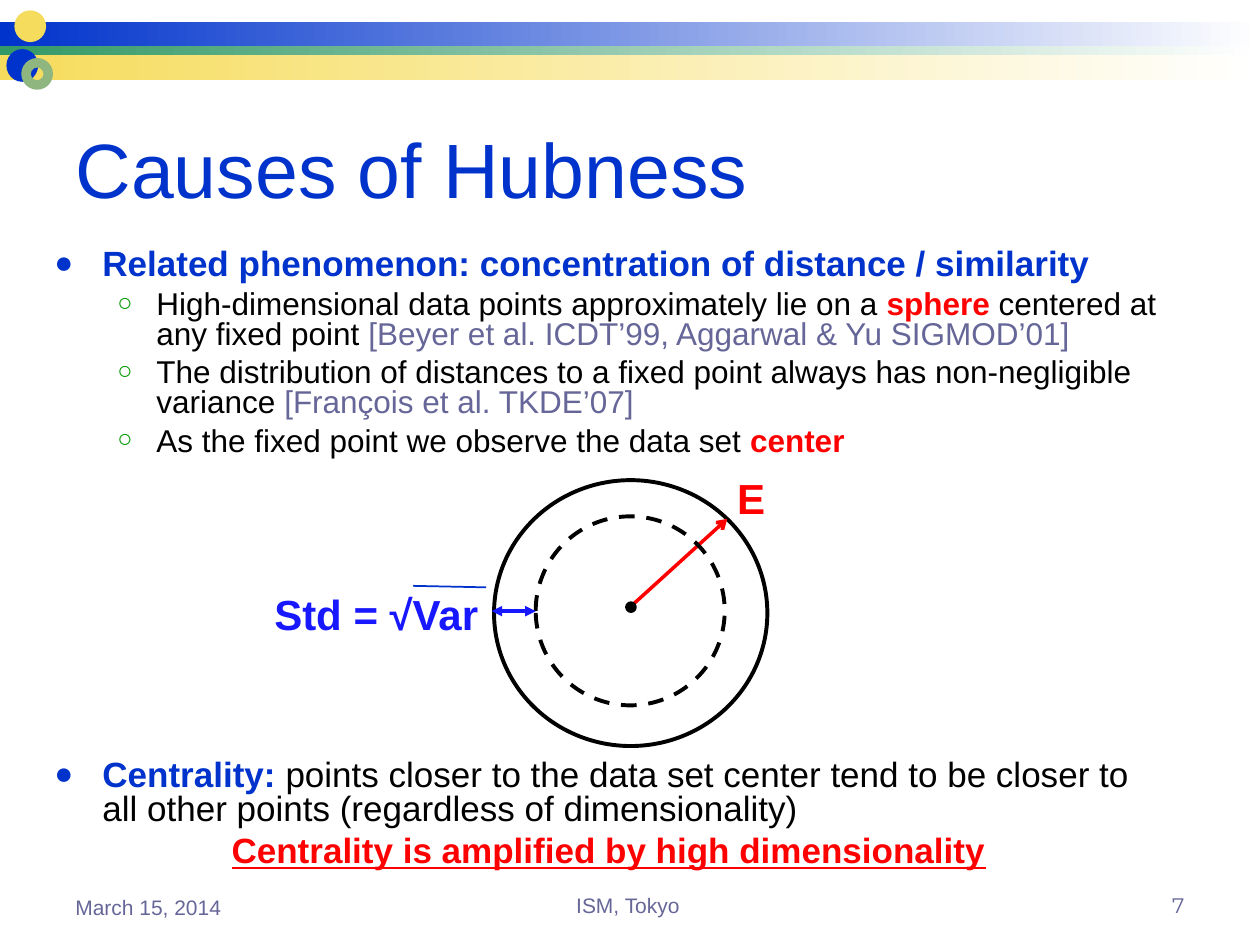
from lxml import etree
from pptx import Presentation
from pptx.dml.color import RGBColor
from pptx.enum.dml import MSO_LINE
from pptx.enum.shapes import MSO_CONNECTOR, MSO_SHAPE
from pptx.enum.text import MSO_ANCHOR, MSO_AUTO_SIZE, PP_ALIGN
from pptx.oxml.ns import qn
from pptx.util import Cm, Pt

RECT, OVAL, RING = MSO_SHAPE.RECTANGLE, MSO_SHAPE.OVAL, MSO_SHAPE.DONUT
LEFT, CENTER, RIGHT = PP_ALIGN.LEFT, PP_ALIGN.CENTER, PP_ALIGN.RIGHT
TOP, MIDDLE, BOTTOM = MSO_ANCHOR.TOP, MSO_ANCHOR.MIDDLE, MSO_ANCHOR.BOTTOM
STRAIGHT = MSO_CONNECTOR.STRAIGHT
DASH = MSO_LINE.DASH
FIXED = MSO_AUTO_SIZE.NONE

BLUE, INK, RED = "0033CC", "1818FF", "FF0000"
BLACK, GREY, GREEN = "000000", "666699", "009900"
GOLD, WHITE = "F6DC5C", "FFFFFF"

POINTS = [
    (0, 0, [("Related phenomenon: concentration of distance / similarity", BLUE, True)]),
    (1, 4.5, [
        ("High-dimensional data points approximately lie on a ", BLACK, False),
        ("sphere", RED, True),
        (" centered at any fixed point ", BLACK, False),
        ("[Beyer et al. ICDT’99, Aggarwal & Yu SIGMOD’01]", GREY, False)]),
    (1, 4.5, [
        ("The distribution of distances to a fixed point always has "
         "non-negligible variance ", BLACK, False),
        ("[François et al. TKDE’07]", GREY, False)]),
    (1, 4.5, [
        ("As the fixed point we observe the data set ", BLACK, False),
        ("center", RED, True)]),
    (0, 173, [
        ("Centrality:", BLUE, True),
        (" points closer to the data set center tend to be closer to all other "
         "points (regardless of dimensionality)", BLACK, False)]),
    (None, 5, [("Centrality is amplified by high dimensionality", RED, True)]),
]
LEVELS = {
    0: (0.97, 0.97, 20, "●", BLUE, 90),
    1: (2.06, 0.79, 18, "○", GREEN, 80),
    None: (0.97, 0.97, 20, None, None, None),
}


def paint(color, code):
    color.rgb = RGBColor.from_string(code)


def style(run, size, code, bold=False, face="Arial"):
    font = run.font
    font.name, font.size, font.bold = face, Pt(size), bold
    paint(font.color, code)


def place(shape, left, top, width, height):
    shape.left, shape.top = Cm(left), Cm(top)
    shape.width, shape.height = Cm(width), Cm(height)


def add_shape(slide, kind, box, fill=None, edge=None, width=2.25):
    shape = slide.shapes.add_shape(kind, *map(Cm, box))
    shape.shadow.inherit = False
    if fill:
        shape.fill.solid()
        paint(shape.fill.fore_color, fill)
    else:
        shape.fill.background()
    if edge:
        paint(shape.line.color, edge)
        shape.line.width = Pt(width)
    else:
        shape.line.fill.background()
    return shape


def add_bar(slide, top, height, start, end=WHITE):
    bar = add_shape(slide, RECT, (0, top, 25.4, height))
    bar.fill.gradient()
    bar.fill.gradient_angle = 0
    for stop, code in zip(bar.fill.gradient_stops, (start, end)):
        paint(stop.color, code)


def add_line(slide, ends, code, width, head=None, tail=None):
    line = slide.shapes.add_connector(STRAIGHT, *map(Cm, ends))
    paint(line.line.color, code)
    line.line.width = Pt(width)
    props = line.line._get_or_add_ln()
    for tag, kind in (("a:headEnd", head), ("a:tailEnd", tail)):
        if kind:
            etree.SubElement(props, qn(tag), type=kind)
    etree.SubElement(line._element.spPr, qn("a:effectLst"))


def add_text(slide, box, text, size, code, bold=False, align=LEFT,
             anchor=TOP, face="Arial"):
    frame = slide.shapes.add_textbox(*map(Cm, box)).text_frame
    frame.word_wrap = True
    frame.vertical_anchor = anchor
    frame.text = text
    para = frame.paragraphs[0]
    para.alignment = align
    style(para.runs[0], size, code, bold, face)


def add_mark(para, left, hang, char, code, scale):
    props = para._p.get_or_add_pPr()
    props.set("marL", str(Cm(left)))
    props.set("indent", str(-Cm(hang)))
    if not char:
        etree.SubElement(props, qn("a:buNone"))
        return
    color = etree.SubElement(props, qn("a:buClr"))
    etree.SubElement(color, qn("a:srgbClr"), val=code)
    etree.SubElement(props, qn("a:buSzPct"), val=str(scale * 1000))
    etree.SubElement(props, qn("a:buFont"), typeface="Arial")
    etree.SubElement(props, qn("a:buChar"), char=char)


def fill_title(title):
    place(title, 1.27, 1.7, 22.86, 3.38)
    frame = title.text_frame
    frame.text = "Causes of Hubness"
    frame.vertical_anchor = MIDDLE
    frame.auto_size = FIXED
    frame.paragraphs[0].alignment = LEFT
    style(frame.paragraphs[0].runs[0], 44, BLUE)


def fill_body(body):
    place(body, 0.84, 4.65, 22.86, 13.54)
    frame = body.text_frame
    frame.margin_top = Cm(0.38)
    frame.vertical_anchor = TOP
    frame.auto_size = FIXED
    for i, (level, space, parts) in enumerate(POINTS):
        para = frame.add_paragraph() if i else frame.paragraphs[0]
        left, hang, size, char, code, scale = LEVELS[level]
        para.level = level or 0
        add_mark(para, left, hang, char, code, scale)
        para.alignment = CENTER if level is None else LEFT
        para.line_spacing = 0.8
        para.space_before = Pt(space)
        for text, tint, bold in parts:
            run = para.add_run()
            run.text = text
            style(run, size, tint, bold)
            if level is None:
                run.font.underline = True


def draw_header(slide):
    add_bar(slide, 1.04, 0.58, GOLD)
    add_bar(slide, 0.45, 0.58, BLUE)
    add_bar(slide, 0.92, 0.2, "339966")
    add_shape(slide, OVAL, (0.13, 0.99, 0.64, 0.66), BLUE)
    add_shape(slide, OVAL, (0.29, 0.21, 0.64, 0.64), GOLD)
    ring = add_shape(slide, RING, (0.43, 1.17, 0.64, 0.64), "8FB67E")
    ring.adjustments[0] = 0.3


def draw_sphere(slide):
    add_shape(slide, OVAL, (9.96, 9.68, 5.51, 5.36), edge=BLACK)
    add_line(slide, (12.7, 12.24, 14.66, 10.46), RED, 2, tail="arrow")
    inner = add_shape(slide, OVAL, (10.8, 10.41, 3.81, 3.81), edge=BLACK)
    inner.line.dash_style = DASH
    add_line(slide, (10.8, 12.32, 9.91, 12.32), INK, 2, "triangle", "triangle")
    add_text(slide, (5.28, 11.74, 5.72, 1.27), "Std = √Var", 24, INK, True)
    add_text(slide, (14.61, 9.4, 2.54, 1.27), "E", 24, RED, True)
    add_shape(slide, OVAL, (12.62, 12.14, 0.2, 0.2), BLACK, BLACK, 1)
    add_line(slide, (8.33, 11.81, 9.8, 11.84), BLUE, 1)


def draw_footer(slide):
    add_text(slide, (8.53, 17.35, 8.26, 1.27), "ISM, Tokyo", 12, GREY,
             align=CENTER, anchor=BOTTOM)
    add_text(slide, (18.21, 17.35, 5.92, 1.27), "7", 12, GREY,
             align=RIGHT, anchor=BOTTOM, face="Montserrat")
    add_text(slide, (1.27, 17.35, 5.92, 1.32), "March 15, 2014", 12, GREY,
             anchor=BOTTOM)


def main():
    deck = Presentation()
    deck.slide_width, deck.slide_height = Cm(25.4), Cm(19.05)
    slide = deck.slides.add_slide(deck.slide_layouts[1])
    draw_header(slide)
    fill_title(slide.shapes.title)
    fill_body(slide.placeholders[1])
    draw_sphere(slide)
    draw_footer(slide)
    deck.save("out.pptx")


if __name__ == "__main__":
    main()
